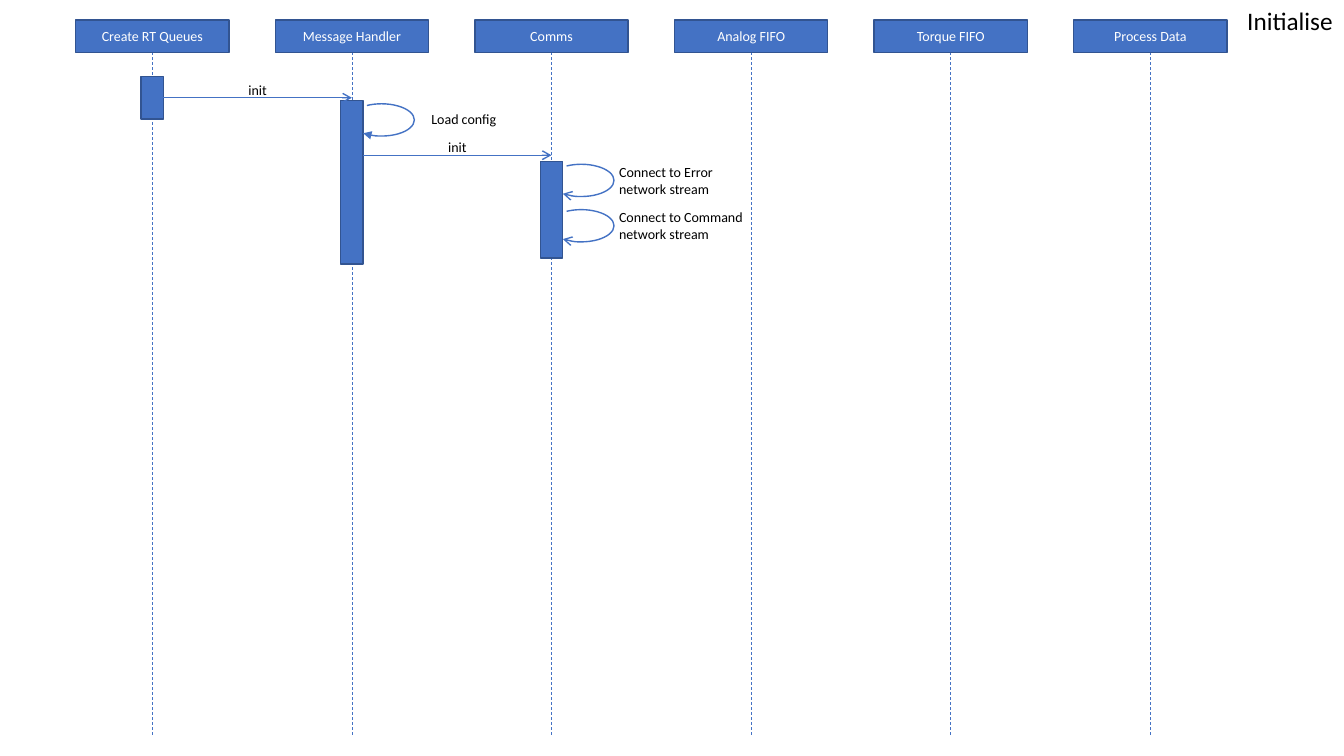
from pptx import Presentation
from pptx.dml.color import RGBColor
from pptx.enum.dml import MSO_LINE
from pptx.enum.shapes import MSO_CONNECTOR, MSO_SHAPE
from pptx.enum.text import MSO_ANCHOR, MSO_AUTO_SIZE, PP_ALIGN
from pptx.oxml.ns import qn
from pptx.util import Inches, Pt
from lxml.etree import SubElement

BLUE = RGBColor(0x44, 0x72, 0xC4)
EDGE = RGBColor(0x32, 0x54, 0x91)
WHITE = RGBColor(255, 255, 255)
BLACK = RGBColor(0, 0, 0)

TITLE = "Initialise"
ACTORS = ["Create RT Queues", "Message Handler", "Comms",
          "Analog FIFO", "Torque FIFO", "Process Data"]
BARS = [(0, 0.76, 0.42), (1, 1.0, 1.62), (2, 1.6, 0.96)]
CALLS = [(0, 1, 0.97, "init"), (1, 2, 1.54, "init")]
LOOPS = [
    (1, 1.03, "triangle", "Load config", (0.69, 0.02, 0.85, 0.27), False),
    (2, 1.63, "arrow", "Connect to Error network stream",
     (0.67, -0.01, 1.21, 0.34), True),
    (2, 2.08, "arrow", "Connect to Command network stream",
     (0.67, -0.01, 1.3, 0.34), True),
]

FIRST, PITCH = 1.51, 1.98
HEAD_TOP, HEAD_W, HEAD_H = 0.2, 1.52, 0.32
FOOT, BAR_W = 7.31, 0.22
LOOP_W, LOOP_H = 0.65, 0.32
LABEL_W, LABEL_H = 0.39, 0.27
MARGINS = ("margin_left", "margin_top", "margin_right", "margin_bottom")


def axis(col):
    return FIRST + PITCH * col


def place(*vals):
    return [Inches(v) for v in vals]


def style(item, vals):
    for key, val in vals.items():
        setattr(item, key, val)


def write(shape, text, size=10, color=BLACK, align=PP_ALIGN.LEFT, **frame):
    body = shape.text_frame
    body.text = text
    style(body, frame)
    para = body.paragraphs[0]
    para.alignment = align
    style(para.font, {"size": Pt(size), "name": "Calibri", "bold": False})
    para.font.color.rgb = color


def label(shapes, box, text, wrap=False, align=PP_ALIGN.LEFT):
    pad = dict.fromkeys(MARGINS, 0) if wrap else {}
    write(shapes.add_textbox(*place(*box)), text, align=align, word_wrap=wrap,
          auto_size=MSO_AUTO_SIZE.SHAPE_TO_FIT_TEXT, **pad)


def block(left, top, wide, high):
    box = slide.shapes.add_shape(MSO_SHAPE.RECTANGLE,
                                 *place(left, top, wide, high))
    box.shadow.inherit = False
    box.fill.solid()
    box.fill.fore_color.rgb = BLUE
    box.line.color.rgb = EDGE
    box.line.width = Pt(1)
    return box


def stroke(item, width=1, tip=None, dash=None):
    item.line.color.rgb = BLUE
    item.line.width = Pt(width)
    if dash:
        item.line.dash_style = dash
    if tip:
        SubElement(item.line._get_or_add_ln(), qn("a:tailEnd"), type=tip)


def link(shapes, ends, **look):
    line = shapes.add_connector(MSO_CONNECTOR.STRAIGHT, *place(*ends))
    stroke(line, **look)
    SubElement(line._element.spPr, qn("a:effectLst"))


deck = Presentation()
deck.slide_width, deck.slide_height = place(13.33, 7.5)
slide = deck.slides.add_slide(deck.slide_layouts[5])

title = slide.shapes.title
style(title, dict(zip(("left", "top", "width", "height"),
                      place(12.27, 0, 1.06, 0.4))))
write(title, TITLE, 18, word_wrap=False, vertical_anchor=MSO_ANCHOR.TOP,
      auto_size=MSO_AUTO_SIZE.SHAPE_TO_FIT_TEXT)

for col, name in enumerate(ACTORS):
    mid = axis(col)
    link(slide.shapes, (mid, HEAD_TOP + HEAD_H, mid, FOOT),
         width=0.5, dash=MSO_LINE.DASH)
    head = block(mid - HEAD_W / 2, HEAD_TOP, HEAD_W, HEAD_H)
    write(head, name, color=WHITE, align=PP_ALIGN.CENTER,
          vertical_anchor=MSO_ANCHOR.MIDDLE)

for col, top, high in BARS:
    block(axis(col) - BAR_W / 2, top, BAR_W, high)

for src, dest, y, text in CALLS:
    group = slide.shapes.add_group_shape().shapes
    start, end = axis(src) + BAR_W / 2, axis(dest)
    link(group, (start, y, end, y), tip="arrow")
    label(group, ((start + end - LABEL_W) / 2, y - 0.21, LABEL_W, LABEL_H),
          text, align=PP_ALIGN.CENTER)

for col, top, tip, text, (dx, dy, wide, high), wrap in LOOPS:
    group = slide.shapes.add_group_shape().shapes
    arc = group.add_shape(MSO_SHAPE.ARC,
                          *place(axis(col) - 0.03, top, LOOP_W, LOOP_H))
    arc.adjustments[0], arc.adjustments[1] = 134.77, 86.44
    arc.shadow.inherit = False
    arc.fill.background()
    stroke(arc, tip=tip)
    label(group, (axis(col) + dx, top + dy, wide, high), text, wrap)

deck.save("out.pptx")
